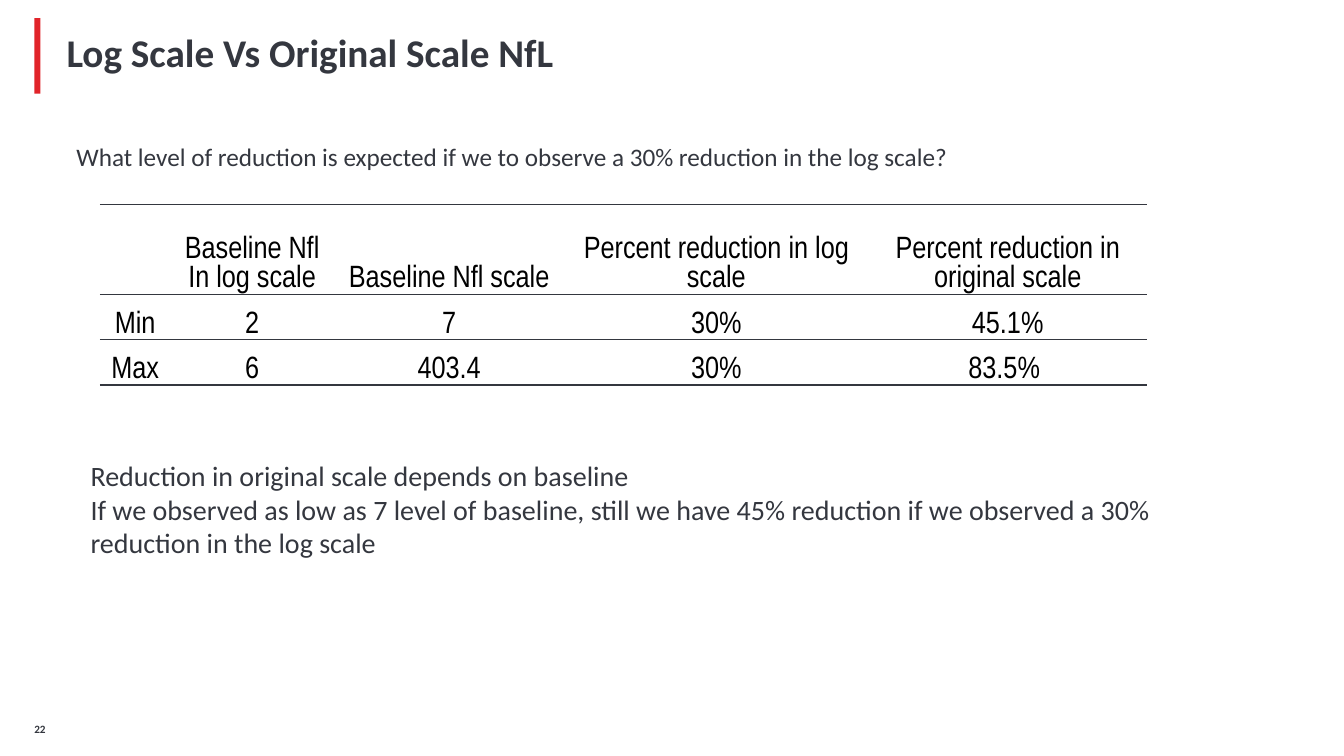
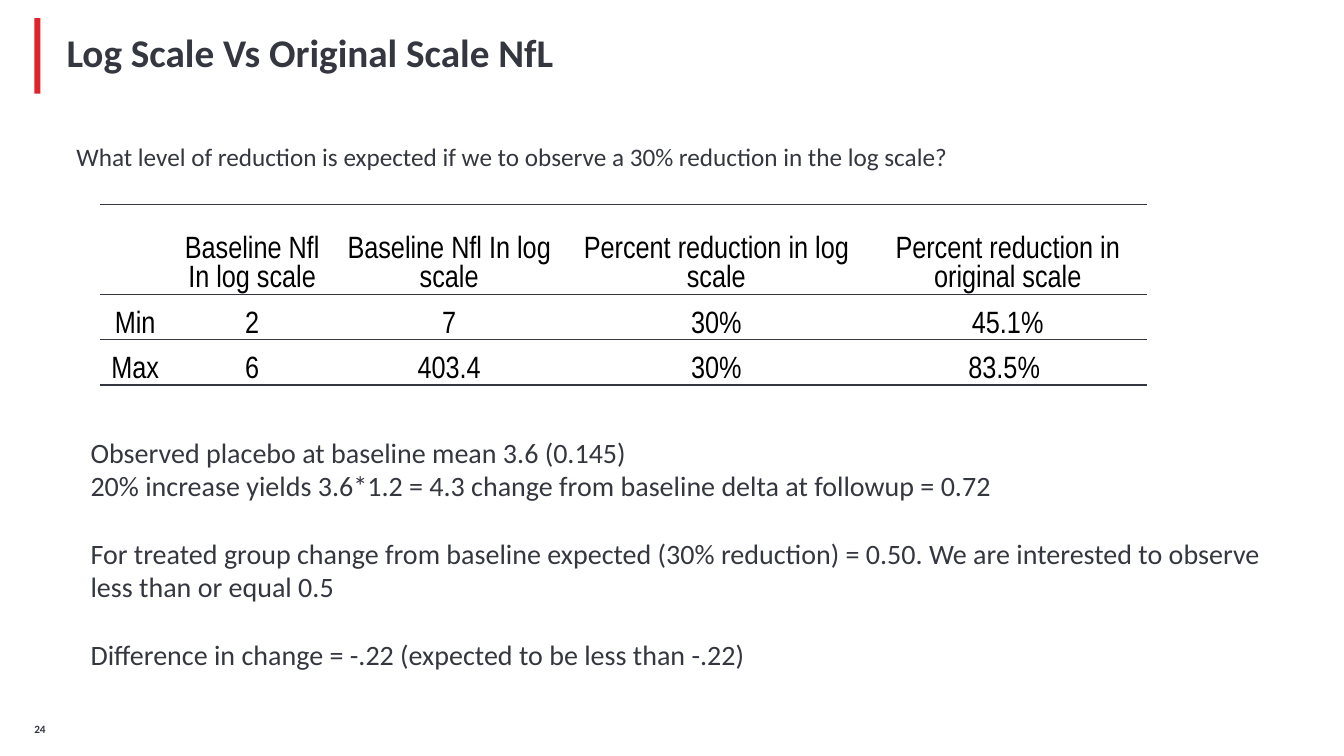
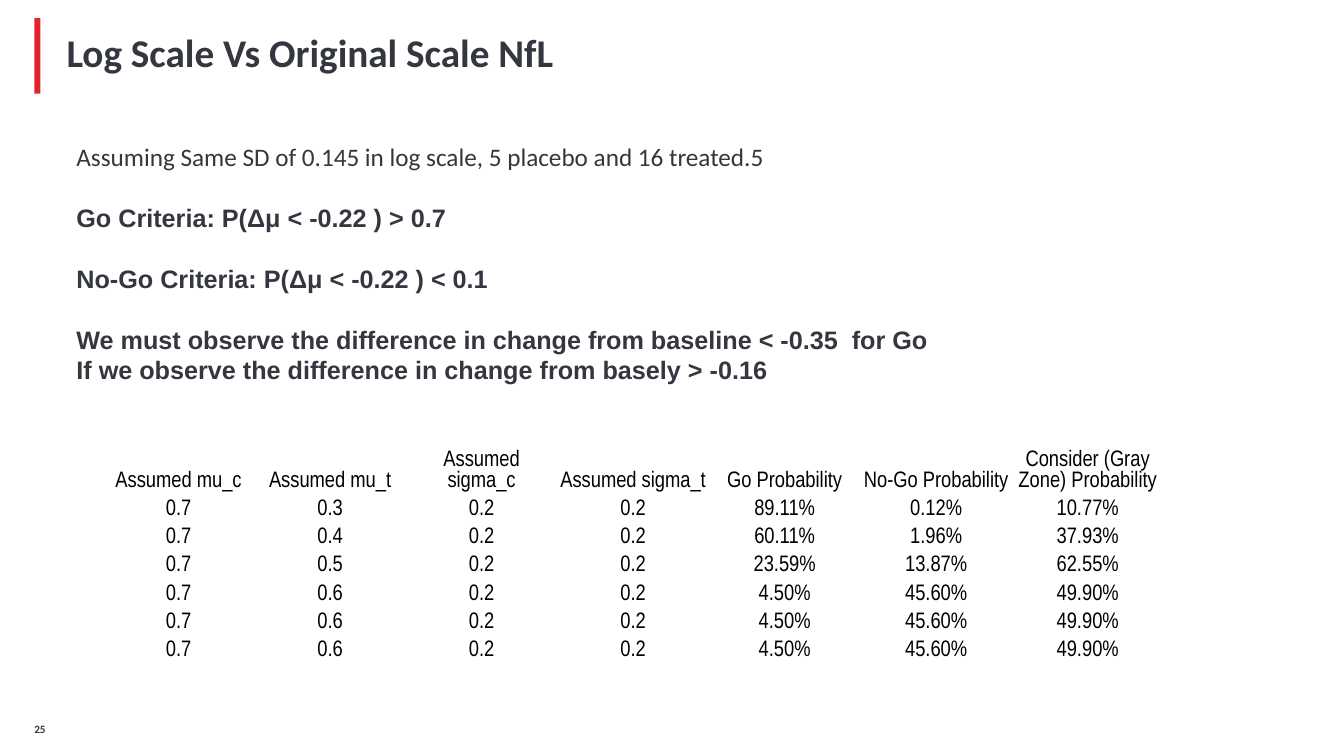
from pptx import Presentation
from pptx.dml.color import RGBColor
from pptx.enum.shapes import MSO_SHAPE
from pptx.enum.text import MSO_ANCHOR, MSO_AUTO_SIZE, PP_ALIGN
from pptx.oxml import parse_xml
from pptx.oxml.ns import nsdecls, qn
from pptx.util import Inches, Pt

INK = RGBColor(0x34, 0x37, 0x3F)
BLACK = RGBColor(0, 0, 0)
ACCENT = RGBColor(0xE1, 0x24, 0x2A)

TITLE = "Log Scale Vs Original Scale NfL"
TITLE_FONT = {"name": "Calibri", "size": Pt(28), "bold": True}
NUMBER_FONT = {"name": "Calibri", "size": Pt(8), "bold": True}
QUESTION_FONT = {"name": "Calibri", "size": Pt(18)}
CRITERIA_FONT = {"name": "Arial", "size": Pt(18), "bold": True}
NOTE_FONT = {"name": "Calibri", "size": Pt(20)}

NO_TABLE_STYLE = "{2D5ABB26-0587-4C30-8999-92F81FD0307C}"
CELL_FORMAT = {
    "margin_left": Inches(0.01),
    "margin_right": Inches(0.01),
    "margin_top": Inches(0.01),
    "margin_bottom": 0,
    "vertical_anchor": MSO_ANCHOR.BOTTOM,
}

QUESTION = "What level of reduction is expected if we to observe a 30% reduction in the log scale?"
REDUCTION_COLUMNS = [0.7, 1.62, 2.29, 3.01, 2.77]
REDUCTION_ROWS = [
    ["Min", "2", "7", "30%", "45.1%"],
    ["Max", "6", "403.4", "30%", "83.5% "],
]
REDUCTION_RULES = [(0, "lnT"), (1, "lnT"), (2, "lnB")]

PROBABILITY_HEADER = [
    "Assumed mu_c", "Assumed mu_t", "Assumed sigma_c", "Assumed sigma_t",
    "Go Probability", "No-Go Probability", "Consider (Gray Zone) Probability",
]
PROBABILITIES = [
    ("0.3", "89.11%", "0.12%", "10.77%"),
    ("0.4", "60.11%", "1.96%", "37.93%"),
    ("0.5", "23.59%", "13.87%", "62.55%"),
] + [("0.6", "4.50%", "45.60%", "49.90%")] * 3


def apply(target, values):
    for key, value in values.items():
        setattr(target, key, value)


def style_font(font, values, color=INK):
    apply(font, values)
    font.color.rgb = color


def add_text(slide, box, lines, frame_format=None):
    frame = slide.shapes.add_textbox(*map(Inches, box)).text_frame
    apply(frame, {"word_wrap": True, **(frame_format or {})})
    for index, (text, font, gap) in enumerate(lines):
        paragraph = frame.add_paragraph() if index else frame.paragraphs[0]
        paragraph.space_before = Pt(gap)
        run = paragraph.add_run()
        run.text = text
        style_font(run.font, font)


def add_titled_slide(deck, number):
    slide = deck.slides.add_slide(deck.slide_layouts[5])
    bar = slide.shapes.add_shape(
        MSO_SHAPE.RECTANGLE, *map(Inches, (0.34, 0.18, 0.06, 0.75)))
    bar.shadow.inherit = False
    bar.fill.solid()
    bar.fill.fore_color.rgb = ACCENT
    bar.line.fill.background()

    title = slide.shapes.title
    apply(title, {"left": Inches(0.66), "top": Inches(0.18),
                  "width": Inches(10.87), "height": Inches(0.75)})
    title.text = TITLE
    apply(title.text_frame, {
        "margin_left": 0, "margin_right": 0, "margin_top": 0, "margin_bottom": 0,
        "vertical_anchor": MSO_ANCHOR.MIDDLE, "auto_size": MSO_AUTO_SIZE.NONE,
    })
    heading = title.text_frame.paragraphs[0]
    apply(heading, {"alignment": PP_ALIGN.LEFT, "line_spacing": Pt(28)})
    style_font(heading.runs[0].font, TITLE_FONT)

    add_text(slide, (0.34, 7.13, 0.32, 0.21), [(str(number), NUMBER_FONT, 0)],
             {"margin_left": 0, "margin_right": 0,
              "vertical_anchor": MSO_ANCHOR.MIDDLE})
    return slide


def add_rule(cell, edge):
    cell._tc.get_or_add_tcPr().insert(0, parse_xml(
        f'<a:{edge} {nsdecls("a")} w="12700"><a:solidFill>'
        f'<a:srgbClr val="{INK}"/></a:solidFill></a:{edge}>'))


def add_plain_table(slide, left, top, widths, heights, rows, size, rules=()):
    table = slide.shapes.add_table(
        len(rows), len(widths), Inches(left), Inches(top),
        Inches(sum(widths)), Inches(sum(heights))).table
    apply(table, {"first_row": False, "horz_banding": False})
    table._tbl.tblPr.find(qn("a:tableStyleId")).text = NO_TABLE_STYLE
    for column, width in zip(table.columns, widths):
        column.width = Inches(width)
    for row, height, texts in zip(table.rows, heights, rows):
        row.height = Inches(height)
        for cell, text in zip(row.cells, texts):
            apply(cell, CELL_FORMAT)
            cell.fill.background()
            cell.text = text
            paragraph = cell.text_frame.paragraphs[0]
            paragraph.alignment = PP_ALIGN.CENTER
            style_font(paragraph.font, {"name": "Arial Narrow", "size": Pt(size)}, BLACK)
            for run in paragraph.runs:
                style_font(run.font, {"name": "Arial Narrow", "size": Pt(size)}, BLACK)
    for row_index, edge in rules:
        for cell in table.rows[row_index].cells:
            add_rule(cell, edge)


def add_reduction_slide(deck, number, baseline_label, notes_box, notes):
    slide = add_titled_slide(deck, number)
    header = ["", "Baseline Nfl In log scale", baseline_label,
              "Percent reduction in log scale", "Percent reduction in original scale"]
    add_plain_table(slide, 0.99, 2.03, REDUCTION_COLUMNS, [0.89, 0.45, 0.45],
                    [header] + REDUCTION_ROWS, 22, REDUCTION_RULES)
    add_text(slide, (0.66, 1.35, 12.33, 0.4), [(QUESTION, QUESTION_FONT, 0)])
    add_text(slide, notes_box, [(text, NOTE_FONT, gap) for text, gap in notes])


def add_criteria_slide(deck, number):
    slide = add_titled_slide(deck, number)
    add_text(slide, (0.66, 1.35, 12.33, 2.83), [
        ("Assuming Same SD of 0.145 in log scale, 5 placebo and 16 treated.5",
         QUESTION_FONT, 0),
        ("Go Criteria: P(Δμ < -0.22 ) > 0.7", CRITERIA_FONT, 22),
        ("No-Go Criteria: P(Δμ < -0.22 ) < 0.1", CRITERIA_FONT, 22),
        ("We must observe the difference in change from baseline < -0.35  for Go",
         CRITERIA_FONT, 22),
        ("If we observe the difference in change from basely > -0.16",
         CRITERIA_FONT, 0),
    ])
    rows = [["0.7", mu_t, "0.2", "0.2", *chances] for mu_t, *chances in PROBABILITIES]
    add_plain_table(slide, 1.02, 4.09, [10.52 / 7] * 7, [0.79] + [0.28] * len(rows),
                    [PROBABILITY_HEADER] + rows, 16)


def main():
    deck = Presentation()
    apply(deck, {"slide_width": Inches(13.33), "slide_height": Inches(7.5)})
    add_reduction_slide(deck, 22, "Baseline Nfl scale", (0.8, 4.5, 11.84, 1.11), [
        ("Reduction in original scale depends on baseline", 0),
        ("If we observed as low as 7 level of baseline, still we have 45% reduction "
         "if we observed a 30% reduction in the log scale", 0),
    ])
    add_reduction_slide(deck, 24, "Baseline Nfl In log scale", (0.8, 4.27, 11.84, 2.46), [
        ("Observed placebo at baseline mean 3.6 (0.145)", 0),
        ("20% increase yields 3.6*1.2 = 4.3 change from baseline delta at followup = 0.72", 0),
        ("For treated group change from baseline expected (30% reduction) = 0.50. "
         "We are interested to observe less than or equal 0.5", 24),
        ("Difference in change = -.22 (expected to be less than -.22)", 24),
    ])
    add_criteria_slide(deck, 25)
    deck.save("out.pptx")


if __name__ == "__main__":
    main()
